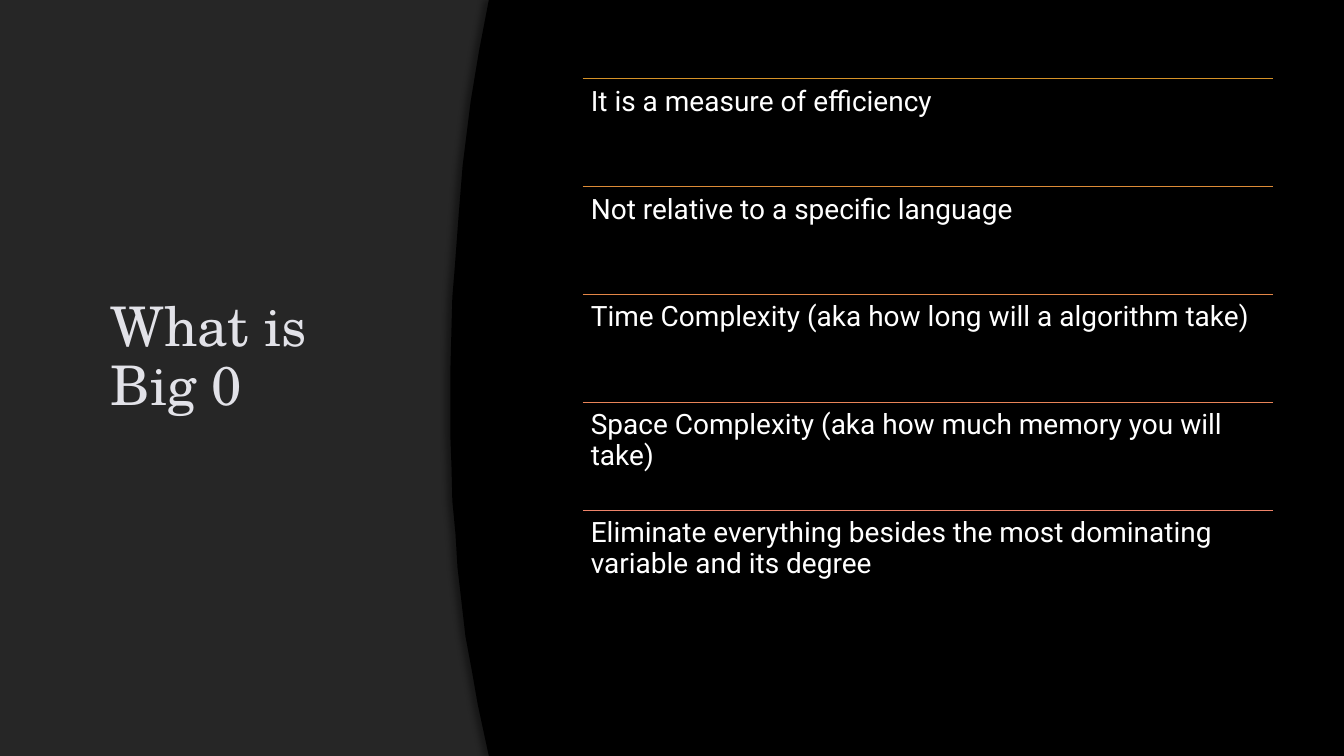
import pptx
import pptx.dml.color
import pptx.enum.shapes
import pptx.enum.text
import pptx.oxml
import pptx.oxml.ns
import pptx.util
from pptx.util import Cm

COLOURS = {"backdrop": "262626", "panel": "000000", "title": "E2E2E8",
           "outline": "404040", "point": "FFFFFF"}
POINTS = [
    ("It is a measure of efficiency", "D59228"),
    ("Not relative to a specific language", "DD8B37"),
    ("Time Complexity (aka how long will a algorithm take)", "E38647"),
    ("Space Complexity (aka how much memory you will take)", "E98458"),
    ("Eliminate everything besides the most dominating variable and its degree", "EE846A"),
]
CURVE = [
    (12.32, 0), (12.07, 1.3), (11.86, 2.57), (11.66, 4.17), (11.56, 5.41),
    (11.46, 6.76), (11.4, 7.49), (11.38, 8.23), (11.35, 9.37), (11.35, 10.97),
    (11.38, 11.79), (11.4, 12.62), (11.48, 13.46), (11.53, 14.3), (11.63, 15.16),
    (11.73, 16.03), (11.89, 16.89), (12.04, 17.75), (12.32, 19.05),
]
WIDTH, HEIGHT = 33.87, 19.05
POINT_LEFT, POINT_TOP, POINT_WIDTH, POINT_PITCH = 14.68, 1.98, 17.4, 2.72


def rgb(value):
    """Turn a hex string into a colour."""
    return pptx.dml.color.RGBColor.from_string(value)


def xml(markup):
    """Parse one drawing element given without its namespace."""
    name, rest = markup.split(" ", 1)
    return pptx.oxml.parse_xml(f"{name} {pptx.oxml.ns.nsdecls('a')} {rest}")


def add_shadow(properties, opacity, blur, distance, angle):
    """Append a black outer shadow, with lengths in points."""
    properties.append(xml(
        f'<a:effectLst ><a:outerShdw blurRad="{pptx.util.Pt(blur)}" '
        f'dist="{pptx.util.Pt(distance)}" dir="{angle * 60000}" algn="ctr" rotWithShape="0">'
        f'<a:srgbClr val="000000"><a:alpha val="{opacity * 1000}"/></a:srgbClr>'
        '</a:outerShdw></a:effectLst>'))


def paint(area, colour):
    """Give an area a plain fill without a line."""
    area.fill.solid()
    area.fill.fore_color.rgb = rgb(colour)
    area.line.fill.background()


def add_text(shapes, text, *, left, top, width, height, size, font, colour,
             anchor=pptx.enum.text.MSO_ANCHOR.TOP, inset=None):
    """Add a wrapped text box and return its run."""
    frame = shapes.add_textbox(Cm(left), Cm(top), Cm(width), Cm(height)).text_frame
    frame.word_wrap = True
    frame.vertical_anchor = anchor
    if inset is not None:
        frame.margin_left = frame.margin_right = Cm(inset)
        frame.margin_top = frame.margin_bottom = Cm(inset)
    paragraph = frame.paragraphs[0]
    paragraph.line_spacing = 0.9
    run = paragraph.add_run()
    run.text = text
    run.font.size = pptx.util.Pt(size)
    run.font.name = font
    run.font.color.rgb = rgb(colour)
    return run


def add_backdrop(shapes):
    """Cover the slide with the grey backdrop."""
    backdrop = shapes.add_shape(pptx.enum.shapes.MSO_SHAPE.RECTANGLE,
                                0, 0, Cm(WIDTH), Cm(HEIGHT))
    backdrop.shadow.inherit = False
    paint(backdrop, COLOURS["backdrop"])


def add_panel(shapes):
    """Add the black panel with its curved left edge."""
    corners = [(Cm(x), Cm(y)) for x, y in CURVE + [(WIDTH, HEIGHT), (WIDTH, 0)]]
    outline = shapes.build_freeform(*corners[0])
    outline.add_line_segments(corners[1:], close=True)
    panel = outline.convert_to_shape()
    paint(panel, COLOURS["panel"])
    add_shadow(panel._element.spPr, 40, 4, 3, 180)


def add_title(shapes):
    """Add the title with its faint outline and shadow."""
    title = add_text(shapes, "What is Big 0", left=2.54, top=1.7, width=7.77, height=14.66,
                     size=39, font="TeX Gyre Schola", colour=COLOURS["title"],
                     anchor=pptx.enum.text.MSO_ANCHOR.MIDDLE)
    properties = title.font._element
    properties.insert(0, xml(
        f'<a:ln w="9525"><a:solidFill><a:srgbClr val="{COLOURS["outline"]}">'
        '<a:alpha val="10000"/></a:srgbClr></a:solidFill></a:ln>'))
    add_shadow(properties, 40, 4, 3, 90)
    properties.insert(2, properties[-1])


def add_point(shapes, text, colour, top):
    """Add one point under its coloured rule."""
    rule = shapes.add_connector(pptx.enum.shapes.MSO_CONNECTOR.STRAIGHT, Cm(POINT_LEFT),
                                Cm(top), Cm(POINT_LEFT + POINT_WIDTH), Cm(top))
    rule.line.color.rgb = rgb(colour)
    rule.line.width = pptx.util.Pt(0.75)
    add_shadow(rule._element.spPr, 60, 5, 2, 90)
    add_text(shapes, text, left=POINT_LEFT, top=top, width=POINT_WIDTH, height=POINT_PITCH,
             size=20, font="Roboto", colour=COLOURS["point"], inset=0.21)


def main():
    """Build the slide and save it."""
    deck = pptx.Presentation()
    deck.slide_width, deck.slide_height = Cm(WIDTH), Cm(HEIGHT)
    slide = deck.slides.add_slide(deck.slide_layouts[6])
    slide.background.fill.solid()
    slide.background.fill.fore_color.rgb = rgb(COLOURS["panel"])
    add_backdrop(slide.shapes)
    add_title(slide.shapes)
    add_panel(slide.shapes)
    points = slide.shapes.add_group_shape().shapes
    for index, (text, colour) in enumerate(POINTS):
        add_point(points, text, colour, POINT_TOP + index * POINT_PITCH)
    deck.save("out.pptx")


main()
